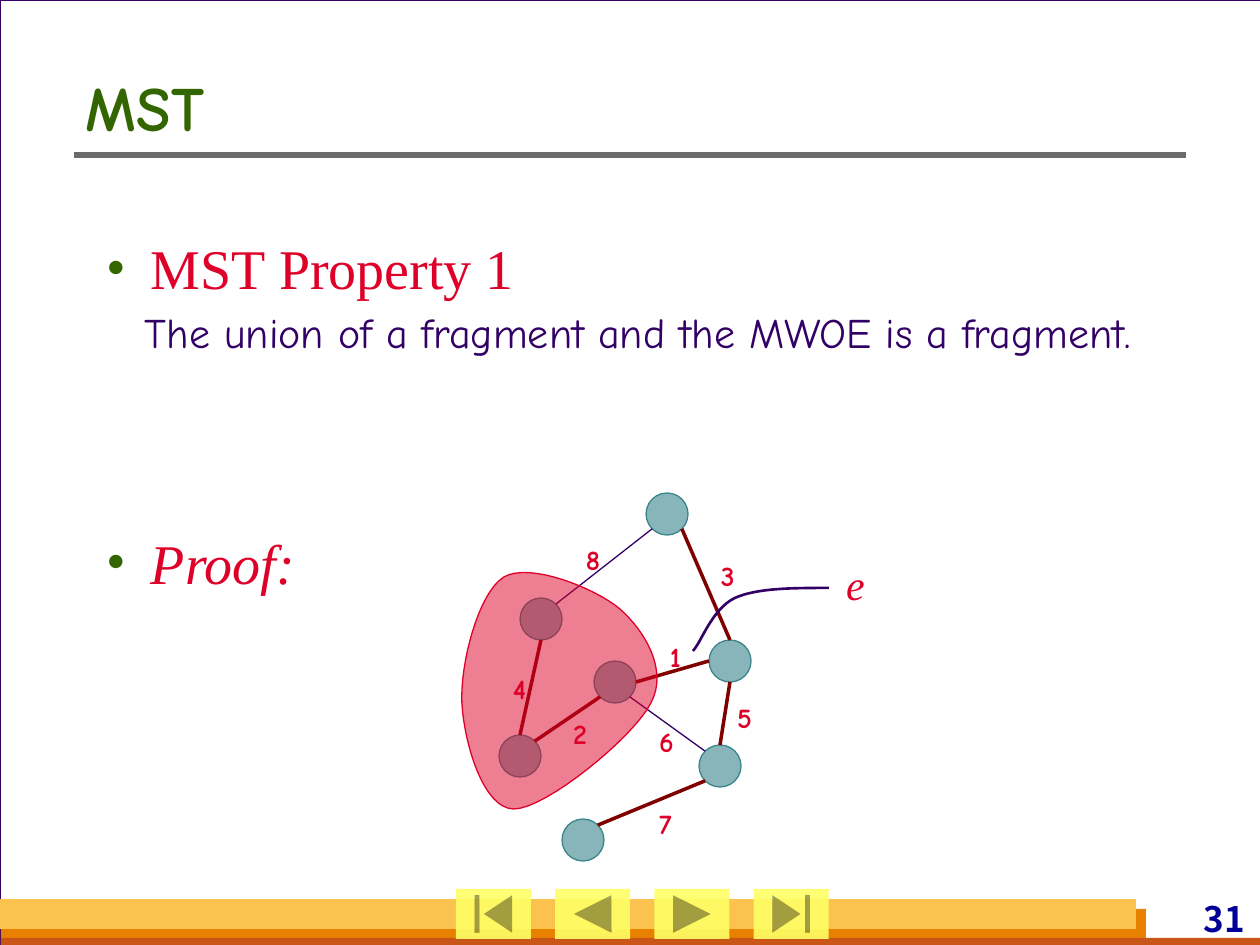
"""Build the MST property slide with its weighted graph."""
from math import cos, radians, sin

from lxml import etree
from pptx import Presentation
from pptx.dml.color import RGBColor
from pptx.enum.shapes import MSO_CONNECTOR, MSO_SHAPE
from pptx.enum.text import MSO_ANCHOR, PP_ALIGN
from pptx.oxml.ns import qn
from pptx.util import Pt

RECT, OVAL = MSO_SHAPE.RECTANGLE, MSO_SHAPE.OVAL
LINE = MSO_CONNECTOR.STRAIGHT
TOP, MID = MSO_ANCHOR.TOP, MSO_ANCHOR.MIDDLE
LEFT, MIDDLE, RIGHT = PP_ALIGN.LEFT, PP_ALIGN.CENTER, PP_ALIGN.RIGHT
SCALE = 914400 / 126
COMIC, TIMES, SANS = "Comic Neue", "Times New Roman", "Noto Sans CJK SC"
HEX = dict(back="D8DADA", white="FFFFFF", ink="330066", orange="E88000",
           rust="C95616", gold="FCC24F", navy="000099", gray="6B6B6B",
           yellow="FFFF66", green="336600", red="DF0029", teal="39858B",
           maroon="800000")

BARS = [((0, 0, 1261, 945), "white", "ink"), ((1, 909, 1145, 36), "orange", None),
        ((1, 938, 1260, 10), "rust", None), ((0, 899, 1136, 30), "gold", None)]
BUTTONS = [MSO_SHAPE.ACTION_BUTTON_BEGINNING,
           MSO_SHAPE.ACTION_BUTTON_BACK_OR_PREVIOUS,
           MSO_SHAPE.ACTION_BUTTON_FORWARD_OR_NEXT, MSO_SHAPE.ACTION_BUTTON_END]
POINTS = [((94, 220, 766, 81), ["MST Property 1"], False),
          ((94, 514, 766, 81), ["Proof:"], True)]
NODES = dict(a=(541, 619), b=(583, 840), c=(520, 756), f=(615, 682),
             r=(730, 661), s=(720, 766), t=(667, 514))
RADIUS = 21
EDGES = [("8", (589, 559), "a", -45, "t", 135, False),
         ("6", (662, 741), "f", 45, "s", -135, False),
         ("1", (673, 656), "f", 0, "r", 180, True),
         ("3", (724, 575), "r", -90, "t", 45, True),
         ("2", (576, 733), "f", 135, "c", -45, True),
         ("5", (740, 717), "s", -90, "r", 90, True),
         ("7", (662, 823), "s", 135, "b", -45, True),
         ("4", (516, 688), "c", -90, "a", 90, True)]
BLOB = [(504, 577), (530, 562), (595, 588), (620, 609), (644, 630), (669, 670),
        (651, 703), (634, 737), (546, 809), (514, 809), (483, 809), (464, 742),
        (462, 703), (460, 665), (478, 593), (504, 577)]
POINTER = [(829, 588), (794, 588), (757, 588), (735, 598), (712, 609),
           (701, 643), (693, 651)]


def emu(*nums):
    return [round(num * SCALE) for num in nums]


def color(name):
    return RGBColor.from_string(HEX[name])


def paint(shape, fill=None, line=None, width=0.74, alpha=100):
    shape.shadow.inherit = False
    if fill:
        shape.fill.solid()
        shape.fill.fore_color.rgb = color(fill)
        if alpha < 100:
            tint = shape.fill._xPr.find(".//" + qn("a:srgbClr"))
            etree.SubElement(tint, qn("a:alpha"), val=str(alpha * 1000))
    else:
        shape.fill.background()
    if line:
        shape.line.color.rgb = color(line)
        shape.line.width = Pt(width)
    else:
        shape.line.fill.background()


def write(box, text, font, size, ink, align=LEFT, anchor=TOP, wrap=True,
          bold=False, italic=False, pad=(13, 6)):
    frame = slide.shapes.add_textbox(*emu(*box)).text_frame
    frame.word_wrap, frame.vertical_anchor = wrap, anchor
    frame.margin_left, frame.margin_top = emu(*pad)
    frame.margin_right, frame.margin_bottom = emu(pad[0], min(pad[1], 6))
    frame.text = text
    para = frame.paragraphs[0]
    para.alignment = align
    face = para.runs[0].font
    face.name, face.size, face.bold, face.italic = font, Pt(size), bold, italic
    face.color.rgb = color(ink)
    return para


def bullet(para):
    props = para._p.get_or_add_pPr()
    gap = emu(30)[0]
    props.set("marL", str(gap))
    props.set("indent", str(-gap))
    tint = etree.SubElement(props, qn("a:buClr"))
    etree.SubElement(tint, qn("a:srgbClr"), val=HEX["green"])
    etree.SubElement(props, qn("a:buFont"), typeface=TIMES)
    etree.SubElement(props, qn("a:buChar"), char="•")


def stroke(start, end, ink, width):
    line = slide.shapes.add_connector(LINE, *emu(*start, *end))
    line.line.color.rgb = color(ink)
    line.line.width = Pt(width)
    etree.SubElement(line._element.spPr, qn("a:effectLst"))


def curve(points, close, steps=16):
    dots = []
    for k in range(0, len(points) - 1, 3):
        p, q, r, s = points[k:k + 4]
        for n in range(1, steps + 1):
            t = n / steps
            u = 1 - t
            dots.append([u**3 * a + 3 * u * u * t * b + 3 * u * t * t * c + t**3 * d
                         for a, b, c, d in zip(p, q, r, s)])
    path = slide.shapes.build_freeform(*emu(*points[0]))
    path.add_line_segments([emu(*dot) for dot in dots], close=close)
    return path.convert_to_shape()


def rim(node, angle):
    x, y = NODES[node]
    turn = radians(angle)
    return x + RADIUS * cos(turn), y + RADIUS * sin(turn)


deck = Presentation()
deck.slide_width, deck.slide_height = emu(1260, 945)
slide = deck.slides.add_slide(deck.slide_layouts[6])
slide.background.fill.solid()
slide.background.fill.fore_color.rgb = color("back")

for box, fill, line in BARS:
    paint(slide.shapes.add_shape(RECT, *emu(*box)), fill, line)
write((1116, 897, 134, 42), "31", SANS, 20, "navy", RIGHT, MID, bold=True, pad=(5, 0))
stroke((74, 155), (1186, 155), "gray", 3)
for k, kind in enumerate(BUTTONS):
    button = slide.shapes.add_shape(kind, *emu(456 + 99.2 * k, 889, 75, 50))
    paint(button, "yellow", alpha=90)

write((73, 63, 1124, 88), "MST", COMIC, 36, "green", bold=True)
write((132, 301, 1106, 63), "The union of a fragment and the MWOE is a fragment.",
      COMIC, 24, "ink")
for box, words, italic in POINTS:
    bullet(write(box, " " + words[0], TIMES, 32, "red", italic=italic, pad=(13, 14)))

for x, y in NODES.values():
    node = slide.shapes.add_shape(
        OVAL, *emu(x - RADIUS, y - RADIUS, 2 * RADIUS, 2 * RADIUS))
    paint(node, "teal", "teal", alpha=60)
for label, (x, y), head, out, tail, into, tree in EDGES:
    ink, width = ("maroon", 2) if tree else ("ink", 0.74)
    stroke(rim(head, out), rim(tail, into), ink, width)
    write((x - 16, y - 26, 32, 53), label, COMIC, 16, "red", MIDDLE, MID, False, True)
paint(curve(BLOB, True), "red", "red", alpha=50)
write((829, 557, 53, 53), "e", TIMES, 24, "red", MIDDLE, MID, False, italic=True)
paint(curve(POINTER, False), line="ink", width=1.5)

deck.save("out.pptx")
